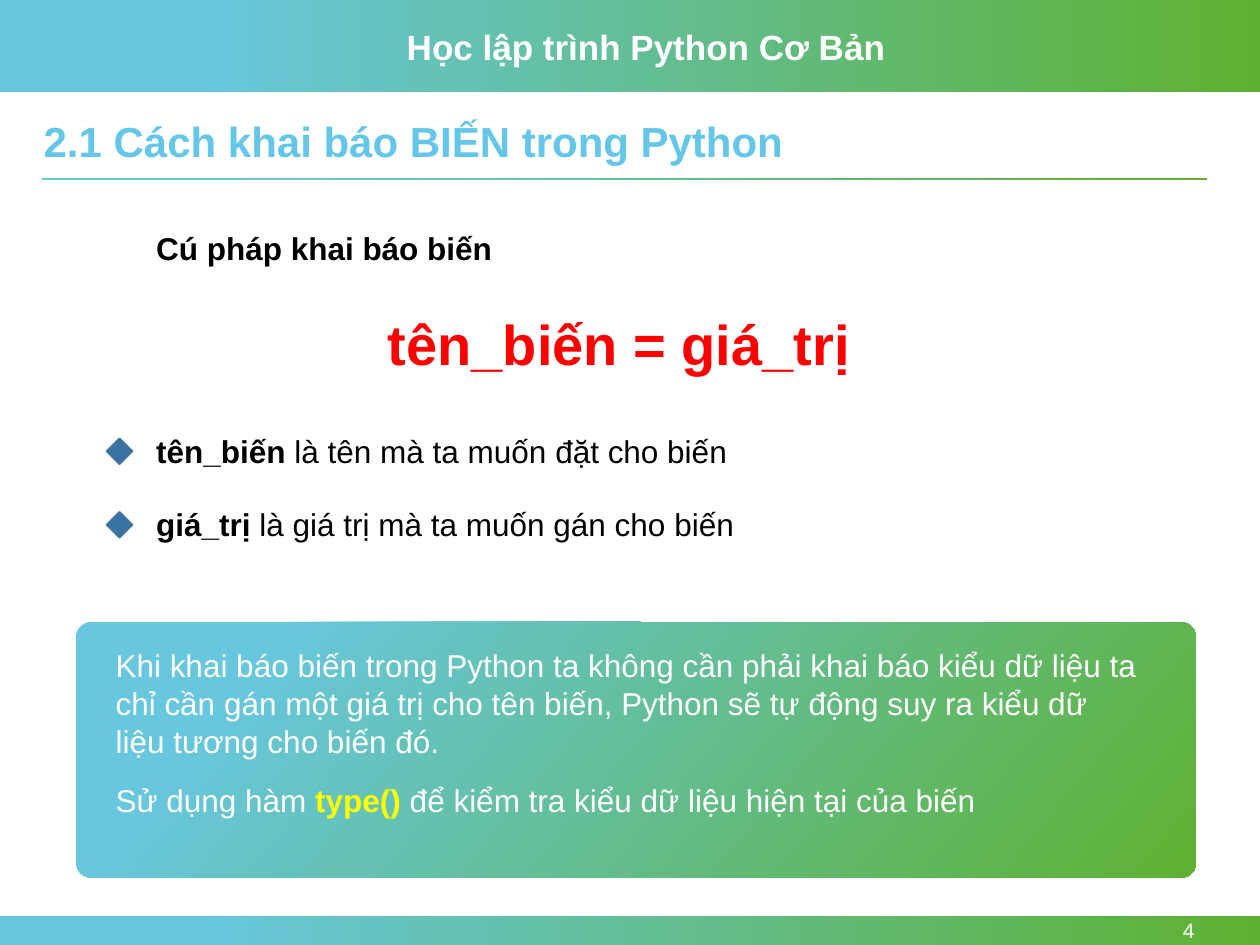
from pptx import Presentation
from pptx import util as u
from pptx.dml.color import RGBColor
from pptx.enum import shapes, text

SKY = RGBColor(0x67, 0xC7, 0xDF)
LEAF = RGBColor(0x5E, 0xB1, 0x30)
HEAD = RGBColor(0x64, 0xC7, 0xE9)
STEEL = RGBColor(0x37, 0x72, 0xA2)
EDGE = RGBColor(0x43, 0x73, 0x9E)
WHITE = RGBColor(0xFF, 0xFF, 0xFF)
BLACK = RGBColor(0x00, 0x00, 0x00)
RED = RGBColor(0xFF, 0x00, 0x00)
GOLD = RGBColor(0xFF, 0xFF, 0x00)

Kind = shapes.MSO_SHAPE


def add_run(para, words, *, size=18, color=BLACK, bold=False, face="Arial"):
    run = para.add_run()
    run.text = words
    run.font.name = face
    run.font.size = u.Pt(size)
    run.font.bold = bold
    run.font.color.rgb = color


class Deck:
    def __init__(self, wide, high):
        self.show = Presentation()
        self.show.slide_width = u.Cm(wide)
        self.show.slide_height = u.Cm(high)
        self.slide = self.show.slides.add_slide(self.show.slide_layouts[6])

    def shape(self, kind, *box):
        item = self.slide.shapes.add_shape(kind, *map(u.Cm, box))
        item.shadow.inherit = False
        return item

    def blend(self, *box, kind=Kind.RECTANGLE, turn=0):
        item = self.shape(kind, *box)
        item.line.fill.background()
        item.fill.gradient()
        item.fill.gradient_angle = -turn % 360
        for stop, place, color in zip(item.fill.gradient_stops, (0.15, 1), (SKY, LEAF)):
            stop.position = place
            stop.color.rgb = color
        return item

    def bullet(self, *box):
        item = self.shape(Kind.DIAMOND, *box)
        item.fill.solid()
        item.fill.fore_color.rgb = STEEL
        item.line.color.rgb = EDGE
        item.line.width = u.Pt(1)

    def label(self, box, *runs, align=text.PP_ALIGN.LEFT,
              anchor=text.MSO_ANCHOR.TOP, lead=1.0, **style):
        frame = self.slide.shapes.add_textbox(*map(u.Cm, box)).text_frame
        frame.word_wrap = True
        frame.vertical_anchor = anchor
        para = frame.paragraphs[0]
        para.alignment = align
        para.line_spacing = lead
        for words, extra in runs:
            add_run(para, words, **{**style, **extra})


def main():
    deck = Deck(25.4, 19.05)

    deck.blend(0, 0, 25.4, 1.85)
    deck.blend(0, 18.47, 25.4, 0.58)
    deck.label((7.95, 0.38, 10.16, 1.12), ("Học lập trình Python Cơ Bản", {}),
               size=20, color=WHITE, bold=True)
    deck.blend(0.84, 3.58, 23.5, 0.06)
    deck.label((22, 18.47, 2.33, 0.58), ("4", {}), size=12, color=WHITE,
               align=text.PP_ALIGN.RIGHT, anchor=text.MSO_ANCHOR.MIDDLE)

    deck.label((0.63, 2.31, 23.5, 1.17), ("2.1 Cách khai báo BIẾN trong Python", {}),
               size=24, color=HEAD, bold=True, lead=0.9)
    deck.label((2.9, 4.5, 8.2, 1.02), ("Cú pháp khai báo biến", {}), bold=True)
    deck.label((7.57, 6.12, 10.26, 1.63), ("tên_biến = giá_trị", {}),
               size=32, color=RED, bold=True)

    parts = (
        ("tên_biến ", "là tên mà ta muốn đặt cho biến"),
        ("giá_trị ", "là giá trị mà ta muốn gán cho biến"),
    )
    for row, (name, role) in enumerate(parts):
        top = 8.58 + 1.48 * row
        deck.label((2.9, top, 15.57, 1.02), (name, {"bold": True}), (role, {}))
        deck.bullet(2.15, top + 0.26, 0.52, 0.52)

    panel = deck.blend(1.53, 12.54, 22.58, 5.16, kind=Kind.ROUNDED_RECTANGLE, turn=40)
    panel.adjustments[0] = 0.06
    deck.label(
        (2.08, 12.9, 21.21, 3.33),
        ("Khi khai báo biến trong Python ta không cần phải khai báo kiểu dữ liệu ta "
         "chỉ cần gán một giá trị cho tên biến, Python sẽ tự động suy ra kiểu dữ "
         "liệu tương cho biến đó.", {}),
        color=WHITE)
    deck.label(
        (2.08, 15.62, 22.02, 1.02),
        ("Sử dụng hàm ", {}),
        ("type() ", {"color": GOLD, "bold": True}),
        ("để kiểm tra kiểu dữ liệu hiện tại của biến", {}),
        color=WHITE)

    deck.show.save("out.pptx")


if __name__ == "__main__":
    main()
